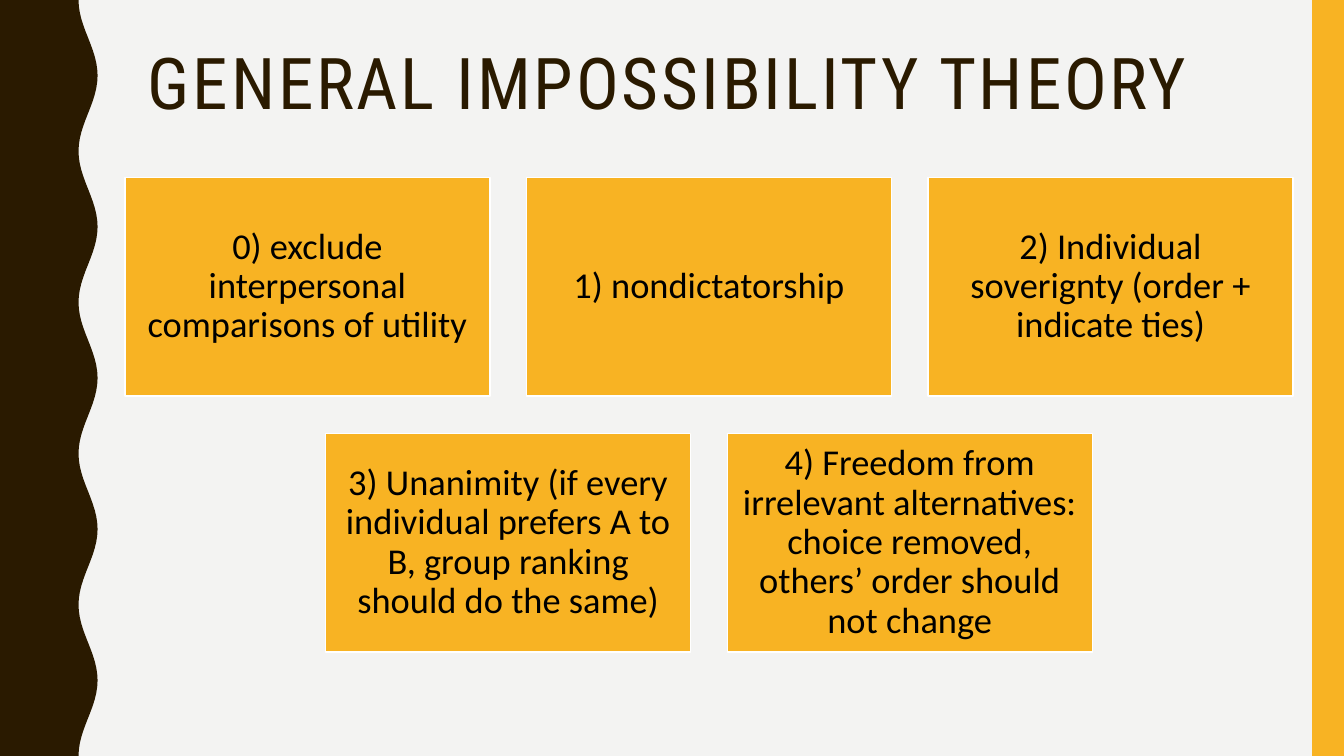
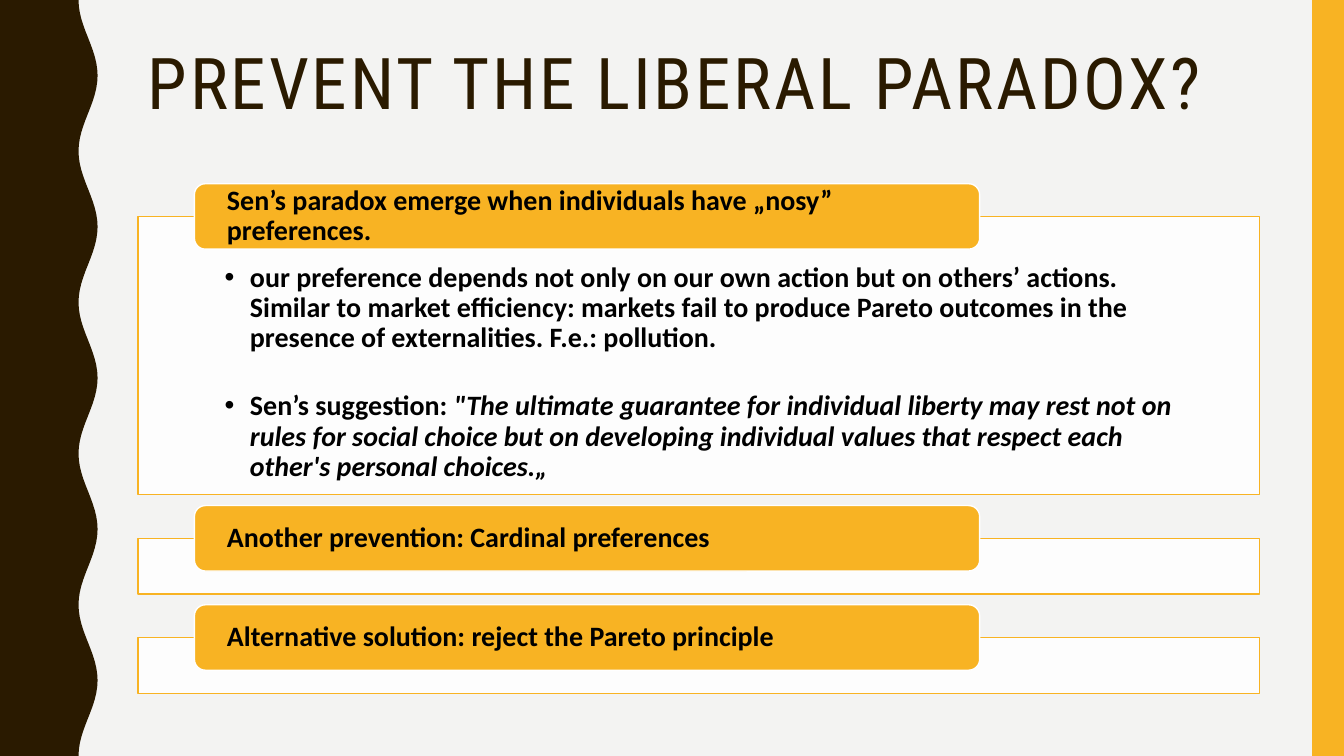
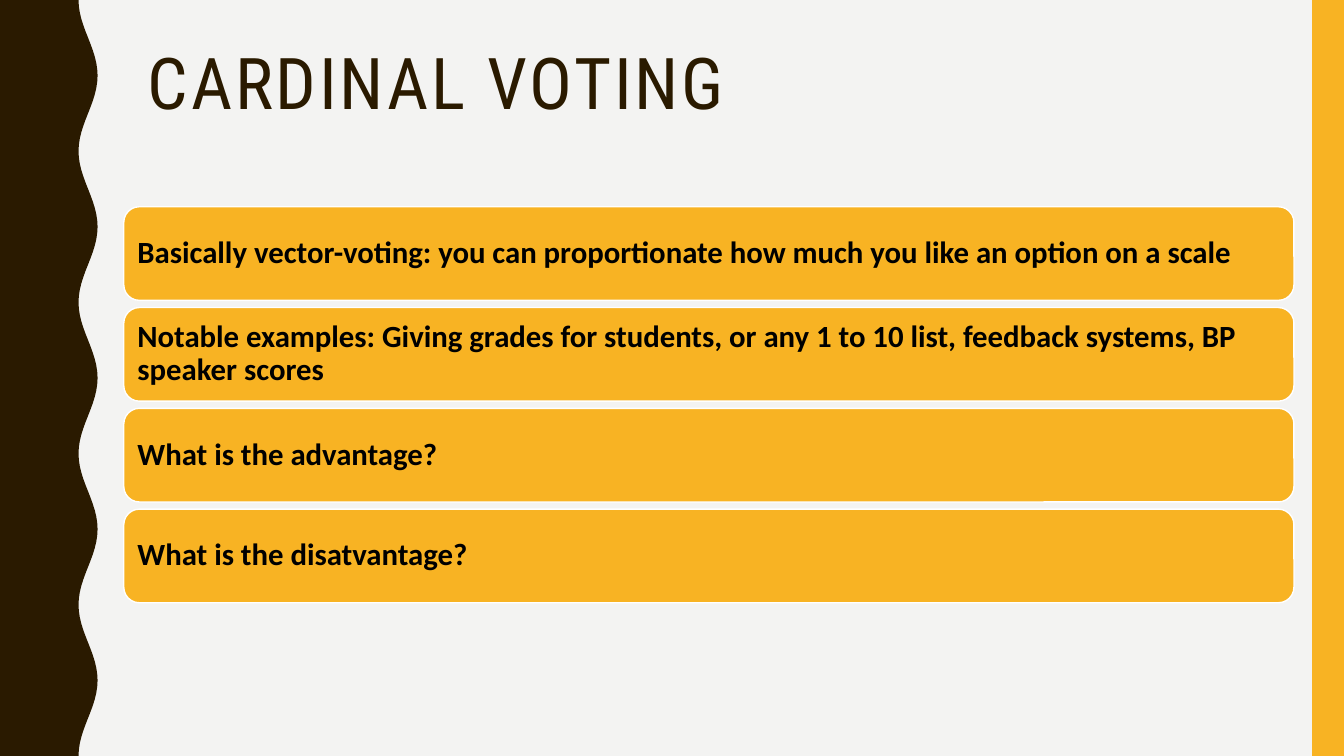
from math import cos, pi

from lxml.etree import SubElement
from pptx import Presentation
from pptx.dml.color import RGBColor
from pptx.enum.shapes import MSO_SHAPE
from pptx.enum.text import MSO_ANCHOR, PP_ALIGN
from pptx.oxml.ns import qn
from pptx.util import Cm, Pt

# Shared look
WIDE, HIGH = 33.87, 19.05
BROWN, GOLD, PAPER = "2A1A00", "F8B323", "F3F3F2"
WHITE, BLACK = "FFFFFF", "000000"
HEAD, BODY = "Roboto Condensed", "Calibri"


def color(code):
    return RGBColor.from_string(code)


def paint(shape, fill, line=None):
    shape.shadow.inherit = False
    shape.fill.solid()
    shape.fill.fore_color.rgb = color(fill)
    if line:
        shape.line.color.rgb = color(line)
        shape.line.width = Pt(1)
    else:
        shape.line.fill.background()


def style(para, font, size, code, bold=False):
    para.line_spacing = 0.9
    for run in para.runs:
        run.font.name = font
        run.font.size = Pt(size)
        run.font.bold = bold
        run.font.color.rgb = color(code)


def inset(frame, left, top, right, bottom):
    frame.word_wrap = True
    frame.margin_left, frame.margin_top = Cm(left), Cm(top)
    frame.margin_right, frame.margin_bottom = Cm(right), Cm(bottom)


def box(slide, kind, left, top, width, height, fill, line=None):
    shape = slide.shapes.add_shape(kind, Cm(left), Cm(top), Cm(width), Cm(height))
    paint(shape, fill, line)
    return shape


def label(shape, text, size, side, edge, align=PP_ALIGN.LEFT, bold=True):
    frame = shape.text_frame
    inset(frame, side, edge, side, edge)
    frame.vertical_anchor = MSO_ANCHOR.MIDDLE
    frame.text = text
    para = frame.paragraphs[0]
    para.alignment = align
    style(para, BODY, size, BLACK, bold)


# Wavy band on the left, following a cosine
def wave(slide):
    mid, swing, cycle, steps = 2.22, 0.24, 3.81, 120
    edge = []
    for i in range(steps + 1):
        y = HIGH * i / steps
        edge.append((Cm(mid - swing * cos(2 * pi * y / cycle)), Cm(y)))
    form = slide.shapes.build_freeform(0, 0)
    form.add_line_segments(edge + [(0, Cm(HIGH))], close=True)
    paint(form.convert_to_shape(), BROWN)


# Slide with bands and title
def base(deck, text, height=4.14):
    slide = deck.slides.add_slide(deck.slide_layouts[6])
    wave(slide)
    box(slide, MSO_SHAPE.RECTANGLE, 33.07, 0, 0.8, HIGH, GOLD)
    title = slide.shapes.add_textbox(Cm(3.48), Cm(1.07), Cm(28.27), Cm(height))
    frame = title.text_frame
    frame.word_wrap = True
    frame.text = text
    para = frame.paragraphs[0]
    style(para, HEAD, 51, BROWN)
    para.runs[0].font._element.set("spc", "200")
    return slide


# Rows of cards, each row centred on the first
def cards(slide, rows):
    left, top, width, height = 3.15, 4.47, 9.2, 5.51
    across, down = 10.12, 6.45
    most = max(len(row) for row in rows)
    for r, row in enumerate(rows):
        start = left + (most - len(row)) * across / 2
        for c, text in enumerate(row):
            card = box(slide, MSO_SHAPE.RECTANGLE, start + c * across,
                       top + r * down, width, height, GOLD, WHITE)
            label(card, text, 26, 0.28, 0.28, PP_ALIGN.CENTER, False)


def bullet(para):
    props = para._p.get_or_add_pPr()
    props.set("marL", str(Cm(0.64)))
    props.set("indent", str(-Cm(0.64)))
    SubElement(props, qn("a:buFont"), typeface="Arial")
    SubElement(props, qn("a:buChar"), char="•")


# Bulleted points, each a plain part and an italic part
def points(shape, items):
    frame = shape.text_frame
    inset(frame, 2.18, 1.17, 2.18, 0.41)
    frame.vertical_anchor = MSO_ANCHOR.TOP
    for i, (plain, quote) in enumerate(items):
        para = frame.add_paragraph() if i else frame.paragraphs[0]
        bullet(para)
        para.text = plain
        if quote:
            run = para.add_run()
            run.text = quote
            run.font.italic = True
        para.alignment = PP_ALIGN.LEFT
        para.space_before = Pt(27 if i else 0)
        style(para, BODY, 20, BLACK, True)


# Outlined panels with a tab over the top edge
def panels(slide, parts):
    top, gap = 5.46, 1.1
    for head, height, items in parts:
        panel = box(slide, MSO_SHAPE.RECTANGLE, 3.48, top, 28.27, height, WHITE, GOLD)
        tint = panel.fill._xPr.find(qn("a:solidFill"))[0]
        SubElement(tint, qn("a:alpha"), val="90000")
        if items:
            points(panel, items)
        tab = box(slide, MSO_SHAPE.ROUNDED_RECTANGLE, 4.9, top - 0.83,
                  19.79, 1.65, GOLD, WHITE)
        label(tab, head, 20, 0.74, 0)
        top += height + gap


# Full-width rounded bars at an even pitch
def bars(slide, texts):
    for i, text in enumerate(texts):
        bar = box(slide, MSO_SHAPE.ROUNDED_RECTANGLE, 3.12, 5.21 + i * 2.54,
                  29.49, 2.36, GOLD, WHITE)
        label(bar, text, 22, 0.23, 0.23)


def main():
    deck = Presentation()
    deck.slide_width, deck.slide_height = Cm(WIDE), Cm(HIGH)
    back = deck.slide_master.background.fill
    back.solid()
    back.fore_color.rgb = color(PAPER)

    cards(base(deck, "GENERAL IMPOSSIBILITY THEORY"), [
        ["0) exclude interpersonal comparisons of utility",
         "1) nondictatorship",
         "2) Individual soverignty (order + indicate ties)"],
        ["3) Unanimity (if every individual prefers A to B, "
         "group ranking should do the same)",
         "4) Freedom from irrelevant alternatives: choice removed, "
         "others’ order should not change"],
    ])

    panels(base(deck, "PREVENT THE LIBERAL PARADOX?", 2.77), [
        ("Sen’s paradox emerge when individuals have „nosy” preferences.", 7.01, [
            ("our preference depends not only on our own action but on others’ "
             "actions. Similar to market efficiency: markets fail to produce "
             "Pareto outcomes in the presence of externalities. "
             "F.e.: pollution.", ""),
            ("Sen’s suggestion: ",
             "\"The ultimate guarantee for individual liberty may rest not on "
             "rules for social choice but on developing individual values that "
             "respect each other's personal choices.„"),
        ]),
        ("Another prevention: Cardinal preferences", 1.4, []),
        ("Alternative solution: reject the Pareto principle", 1.4, []),
    ])

    bars(base(deck, "CARDINAL VOTING"), [
        "Basically vector-voting: you can proportionate how much you like "
        "an option on a scale",
        "Notable examples: Giving grades for students, or any 1 to 10 list, "
        "feedback systems, BP speaker scores",
        "What is the advantage?",
        "What is the disatvantage?",
    ])
    deck.save("out.pptx")


if __name__ == "__main__":
    main()
